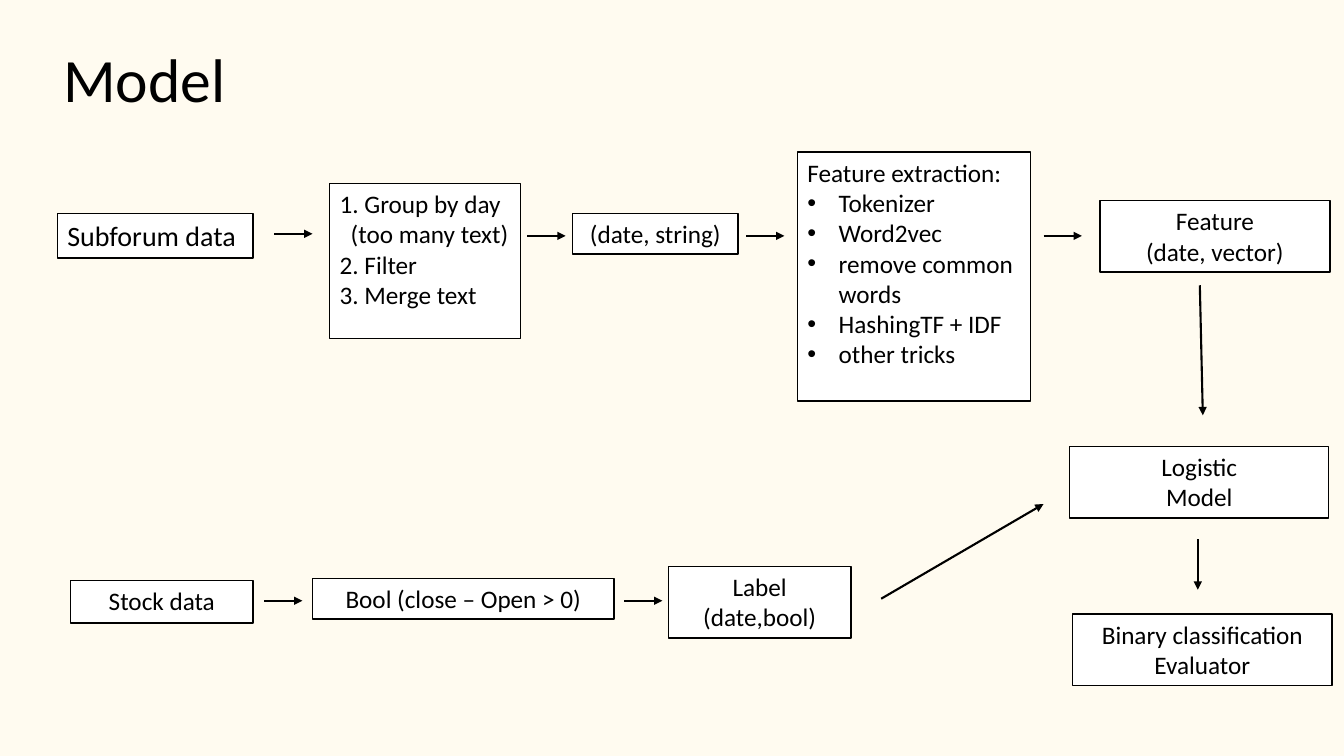
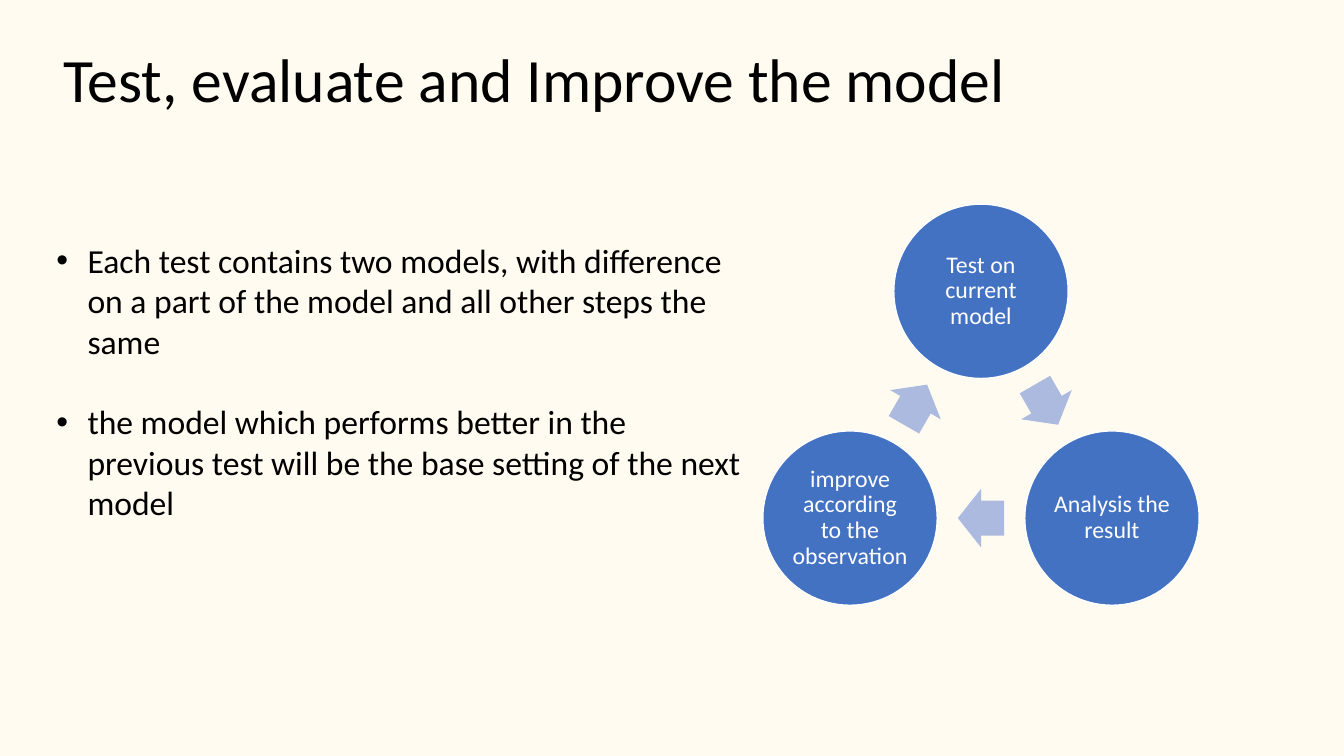
from dataclasses import dataclass
from math import cos, radians, sin
from typing import Any

from lxml.etree import SubElement
from pptx import Presentation
from pptx.dml.color import RGBColor
from pptx.enum.shapes import MSO_CONNECTOR, MSO_SHAPE
from pptx.enum.text import MSO_ANCHOR, PP_ALIGN
from pptx.oxml.ns import qn
from pptx.shapes.autoshape import Shape
from pptx.slide import Slide
from pptx.text.text import TextFrame
from pptx.util import Pt

EMU_PER_PX = 9144
SLIDE_WIDTH, SLIDE_HEIGHT = 1333, 750
FONT = "Calibri"

CREAM = RGBColor(0xFF, 0xFB, 0xF0)
BLACK = RGBColor(0x00, 0x00, 0x00)
WHITE = RGBColor(0xFF, 0xFF, 0xFF)
BLUE = RGBColor(0x43, 0x72, 0xC3)
PALE_BLUE = RGBColor(0xAB, 0xBA, 0xDE)


@dataclass(frozen=True)
class Line:
    text: str
    indent: int = 0
    hanging: int = 0
    space_before: int = 0


@dataclass(frozen=True)
class Step:
    left: int
    top: int
    width: int
    height: int
    lines: tuple[Line, ...]
    size: int = 18
    align: PP_ALIGN = PP_ALIGN.CENTER


@dataclass(frozen=True)
class Arrow:
    x1: int
    y1: int
    x2: int
    y2: int


@dataclass(frozen=True)
class Stage:
    text: str
    angle: int


def plain(*texts: str) -> tuple[Line, ...]:
    return tuple(Line(text) for text in texts)


def bullets(*texts: str) -> tuple[Line, ...]:
    return tuple(Line(text, 31, 31) for text in texts)


STEPS = (
    Step(57, 212, 194, 44, plain("Subforum data"), 20, PP_ALIGN.LEFT),
    Step(327, 182, 189, 154, (
        Line("1. Group by day"),
        Line("(too many text)", 11),
        *plain("2. Filter", "3. Merge text"),
    ), align=PP_ALIGN.LEFT),
    Step(568, 212, 164, 40, plain("(date, string)")),
    Step(791, 151, 231, 247, (
        Line("Feature extraction:"),
        *bullets("Tokenizer", "Word2vec", "remove common words",
                 "HashingTF + IDF", "other tricks"),
    ), align=PP_ALIGN.LEFT),
    Step(1091, 199, 228, 71, plain("Feature", "(date, vector)")),
    Step(70, 576, 181, 42, plain("Stock data")),
    Step(310, 574, 299, 40, plain("Bool (close – Open > 0)")),
    Step(663, 562, 181, 71, plain("Label", "(date,bool)")),
    Step(1061, 443, 257, 71, plain("Logistic", "Model")),
    Step(1064, 609, 257, 71, plain("Binary classification", "Evaluator")),
)

ARROWS = (
    Arrow(272, 232, 310, 232),
    *(Arrow(x, 234, x + 38, 234) for x in (523, 740, 1035)),
    *(Arrow(x, 596, x + 38, 596) for x in (262, 619)),
    Arrow(1190, 283, 1193, 412),
    Arrow(874, 594, 1035, 500),
    Arrow(1188, 535, 1188, 585),
)

STAGES = (
    Stage("Test on current model", -90),
    Stage("Analysis the result", 30),
    Stage("improve according to the observation", 150),
)
CYCLE_X, CYCLE_Y, CYCLE_RADIUS = 973, 439, 150
STAGE_SIZE = 173
TURN_WIDTH, TURN_HEIGHT = 46, 58

FINDINGS = (
    Line("Each test contains two models, with difference on a part of the model "
         "and all other steps the same", 31, 35),
    Line("the model which performs better in the previous test will be the base "
         "setting of the next model", 31, 35, 29),
)


def px(length: float) -> int:
    return round(length * EMU_PER_PX)


def apply(target: Any, formats: dict[str, Any]) -> None:
    for name, value in formats.items():
        setattr(target, name, value)


def write(frame: TextFrame, lines: tuple[Line, ...], size: int,
          color: RGBColor = BLACK, align: PP_ALIGN = PP_ALIGN.LEFT,
          anchor: MSO_ANCHOR = MSO_ANCHOR.TOP, spacing: float = 1.0) -> None:
    apply(frame, {"word_wrap": True, "vertical_anchor": anchor})
    for index, line in enumerate(lines):
        paragraph = frame.add_paragraph() if index else frame.paragraphs[0]
        properties = paragraph._p.get_or_add_pPr()
        if line.indent:
            properties.set("marL", str(px(line.indent)))
            properties.set("indent", str(-px(line.hanging)))
        if line.hanging:
            bullet_color = SubElement(properties, qn("a:buClr"))
            SubElement(bullet_color, qn("a:srgbClr"), val=str(color))
            SubElement(properties, qn("a:buFont"), typeface="Arial")
            SubElement(properties, qn("a:buChar"), char="•")
        apply(paragraph, {"alignment": align, "line_spacing": spacing})
        if line.space_before:
            paragraph.space_before = Pt(line.space_before)
        run = paragraph.add_run()
        run.text = line.text
        apply(run.font, {"name": FONT, "size": Pt(size)})
        run.font.color.rgb = color


def add_text(slide: Slide, left: int, top: int, width: int, height: int) -> TextFrame:
    return slide.shapes.add_textbox(px(left), px(top), px(width), px(height)).text_frame


def add_title(slide: Slide, title: str, width: int) -> None:
    write(add_text(slide, 53, 5, width, 154), plain(title), 44,
          anchor=MSO_ANCHOR.MIDDLE, spacing=0.9)


def add_figure(slide: Slide, preset: MSO_SHAPE, left: float, top: float,
               width: int, height: int, fill: RGBColor,
               outline: RGBColor | None = None) -> Shape:
    figure = slide.shapes.add_shape(preset, px(left), px(top), px(width), px(height))
    figure.shadow.inherit = False
    figure.fill.solid()
    figure.fill.fore_color.rgb = fill
    if outline is None:
        figure.line.fill.background()
    else:
        figure.line.color.rgb = outline
        figure.line.width = Pt(1)
    return figure


def add_step(slide: Slide, step: Step) -> None:
    box = add_figure(slide, MSO_SHAPE.RECTANGLE, step.left, step.top,
                     step.width, step.height, WHITE, BLACK)
    write(box.text_frame, step.lines, step.size, align=step.align)


def add_arrow(slide: Slide, arrow: Arrow) -> None:
    connector = slide.shapes.add_connector(
        MSO_CONNECTOR.STRAIGHT, px(arrow.x1), px(arrow.y1), px(arrow.x2), px(arrow.y2))
    connector.line.color.rgb = BLACK
    connector.line.width = Pt(1.5)
    SubElement(connector.line._get_or_add_ln(), qn("a:tailEnd"), type="triangle")
    SubElement(connector._element.spPr, qn("a:effectLst"))


def cycle_corner(angle: int, radius: float, width: int, height: int) -> tuple[float, float]:
    return (CYCLE_X + radius * cos(radians(angle)) - width / 2,
            CYCLE_Y + radius * sin(radians(angle)) - height / 2)


def add_stage(slide: Slide, stage: Stage) -> None:
    left, top = cycle_corner(stage.angle, CYCLE_RADIUS, STAGE_SIZE, STAGE_SIZE)
    circle = add_figure(slide, MSO_SHAPE.OVAL, left, top, STAGE_SIZE, STAGE_SIZE,
                        BLUE, WHITE)
    sides = ("left", "top", "right", "bottom")
    apply(circle.text_frame, {f"margin_{side}": px(2) for side in sides})
    write(circle.text_frame, plain(stage.text), 17, WHITE, PP_ALIGN.CENTER,
          MSO_ANCHOR.MIDDLE, 0.9)

    turn_angle = stage.angle + 60
    left, top = cycle_corner(turn_angle, CYCLE_RADIUS / 2, TURN_WIDTH, TURN_HEIGHT)
    turn = add_figure(slide, MSO_SHAPE.RIGHT_ARROW, left, top,
                      TURN_WIDTH, TURN_HEIGHT, PALE_BLUE)
    turn.rotation = turn_angle + 90
    turn.adjustments[0] = 0.6
    turn.adjustments[1] = 0.5


def build_model(slide: Slide) -> None:
    add_title(slide, "Model", 764)
    for step in STEPS:
        add_step(slide, step)
    for arrow in ARROWS:
        add_arrow(slide, arrow)


def build_improvement(slide: Slide) -> None:
    add_title(slide, "Test, evaluate and Improve the model", 1056)
    write(add_text(slide, 46, 233, 701, 252), FINDINGS, 24)
    for stage in STAGES:
        add_stage(slide, stage)


def main() -> None:
    presentation = Presentation()
    apply(presentation, {"slide_width": px(SLIDE_WIDTH), "slide_height": px(SLIDE_HEIGHT)})
    background = presentation.slide_master.background.fill
    background.solid()
    background.fore_color.rgb = CREAM
    for build in (build_model, build_improvement):
        build(presentation.slides.add_slide(presentation.slide_layouts[6]))
    presentation.save("out.pptx")


if __name__ == "__main__":
    main()
